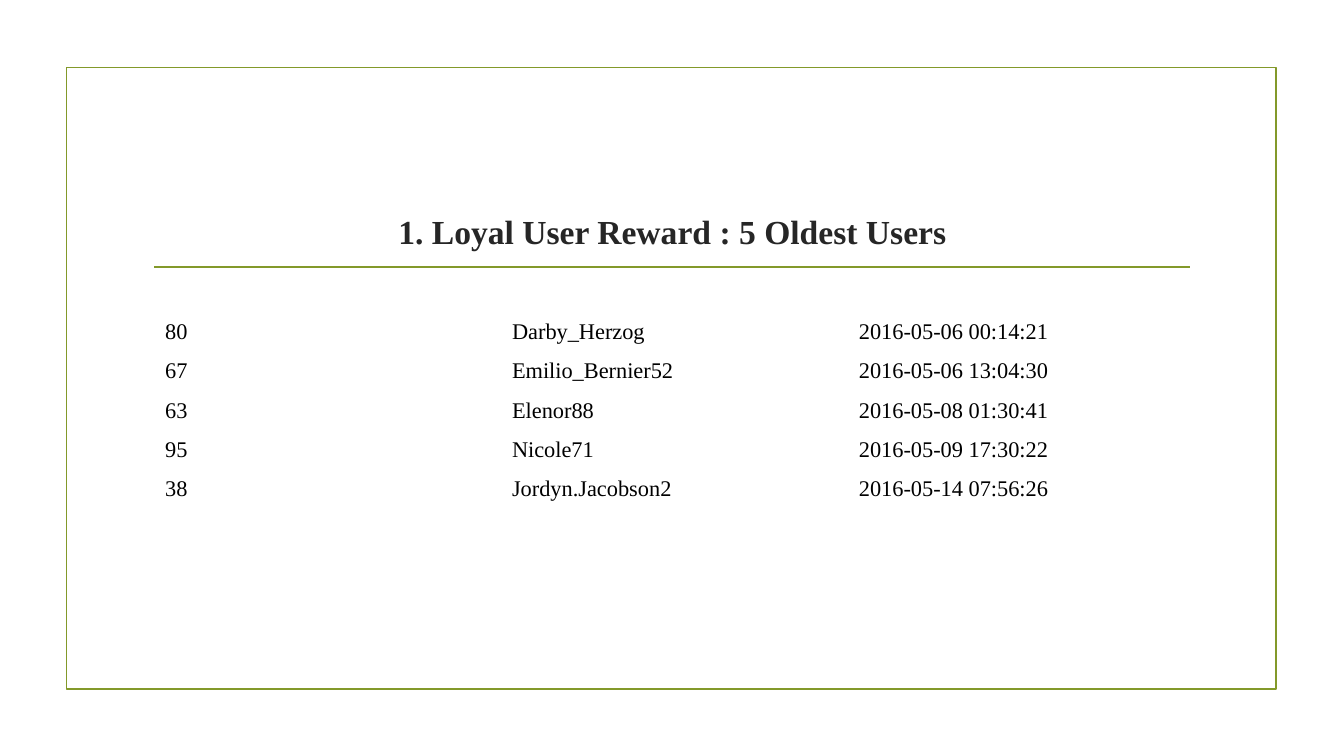
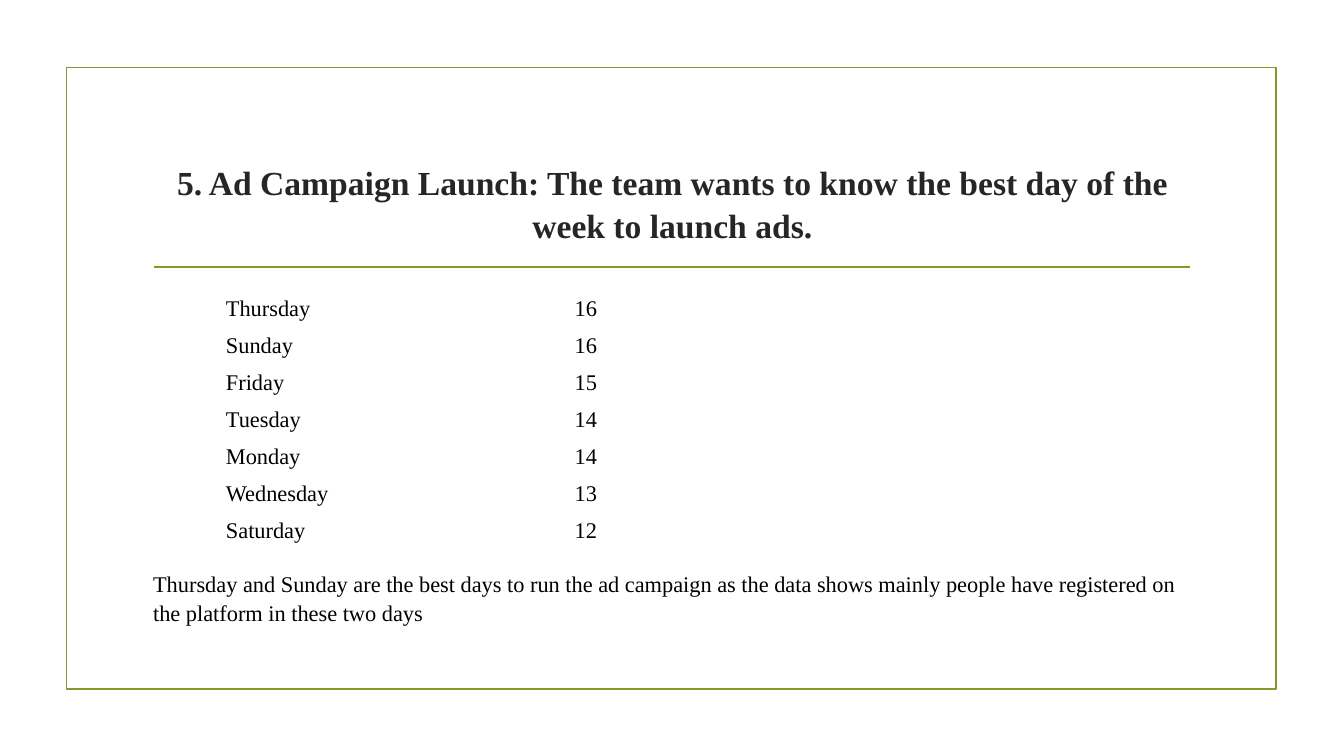
import pptx
import pptx.dml.color
import pptx.enum.shapes
import pptx.enum.text
import pptx.oxml.ns
import pptx.util
from lxml import etree
from pptx.util import Cm

COLORS = {"olive": "83992A", "title": "262626", "body": "000000"}
FONT = "Times New Roman"
LINE_SPACING = 1.05

SLIDES = [
    {
        "title": "1. Loyal User Reward : 5 Oldest Users",
        "title_top": 5.26, "title_height": 1.09,
        "table_left": 3.91, "table_top": 7.87,
        "column_width": 8.74, "row_height": 0.99,
        "rows": [
            ("80", "Darby_Herzog", "2016-05-06 00:14:21"),
            ("67", "Emilio_Bernier52", "2016-05-06 13:04:30"),
            ("63", "Elenor88", "2016-05-08 01:30:41"),
            ("95", "Nicole71", "2016-05-09 17:30:22"),
            ("38", "Jordyn.Jacobson2", "2016-05-14 07:56:26"),
            ("", "", ""),
        ],
        "conclusion": None,
    },
    {
        "title": "5. Ad Campaign Launch: The team wants to know the best day "
                 "of the week to launch ads.",
        "title_top": 3.58, "title_height": 3.05,
        "table_left": 5.44, "table_top": 7.32,
        "column_width": 8.79, "row_height": 0.88,
        "rows": [
            ("Thursday", "16"),
            ("Sunday", "16"),
            ("Friday", "15"),
            ("Tuesday", "14"),
            ("Monday", "14"),
            ("Wednesday", "13"),
            ("Saturday", "12"),
        ],
        "conclusion": "Thursday and Sunday are the best days to run the ad "
                      "campaign as the data shows mainly people have "
                      "registered on the platform in these two days",
    },
]


def rgb(name):
    return pptx.dml.color.RGBColor.from_string(COLORS[name])


def write(frame, text, size=16, color="body", bold=False):
    frame.word_wrap = True
    paragraph = frame.paragraphs[0]
    run = paragraph.add_run()
    run.text = text
    run.font.name = FONT
    run.font.size = pptx.util.Pt(size)
    run.font.bold = bold
    run.font.color.rgb = rgb(color)
    return paragraph


deck = pptx.Presentation()
deck.slide_width, deck.slide_height = Cm(33.87), Cm(19.05)

for content in SLIDES:
    slide = deck.slides.add_slide(deck.slide_layouts[6])

    # Frame and rule under the title
    border = slide.shapes.add_shape(
        pptx.enum.shapes.MSO_SHAPE.RECTANGLE,
        Cm(1.68), Cm(1.7), Cm(30.48), Cm(15.67))
    border.shadow.inherit = False
    border.fill.background()
    rule = slide.shapes.add_connector(
        pptx.enum.shapes.MSO_CONNECTOR.STRAIGHT,
        Cm(3.89), Cm(6.73), Cm(30), Cm(6.73))
    etree.SubElement(rule._element.spPr, pptx.oxml.ns.qn("a:effectLst"))
    for outlined in (border, rule):
        outlined.line.color.rgb = rgb("olive")
        outlined.line.width = pptx.util.Pt(1.25)

    # Title
    title = slide.shapes.add_textbox(
        Cm(3.61), Cm(content["title_top"]),
        Cm(26.67), Cm(content["title_height"])).text_frame
    title.vertical_anchor = pptx.enum.text.MSO_ANCHOR.MIDDLE
    heading = write(title, content["title"], 24, "title", True)
    heading.alignment = pptx.enum.text.PP_ALIGN.CENTER
    heading.line_spacing = LINE_SPACING

    # Query result
    rows = content["rows"]
    columns = len(rows[0])
    result = slide.shapes.add_table(
        len(rows), columns,
        Cm(content["table_left"]), Cm(content["table_top"]),
        Cm(content["column_width"] * columns),
        Cm(content["row_height"] * len(rows))).table
    result.first_row = False
    result.horz_banding = False
    for r, values in enumerate(rows):
        for c, value in enumerate(values):
            cell = result.cell(r, c)
            cell.fill.background()
            cell.vertical_anchor = pptx.enum.text.MSO_ANCHOR.MIDDLE
            if value:
                write(cell.text_frame, value)

    # Conclusion
    if content["conclusion"]:
        conclusion = slide.shapes.add_textbox(
            Cm(3.61), Cm(14.22), Cm(27.05), Cm(1.63)).text_frame
        write(conclusion, content["conclusion"]).line_spacing = LINE_SPACING

deck.save("out.pptx")
